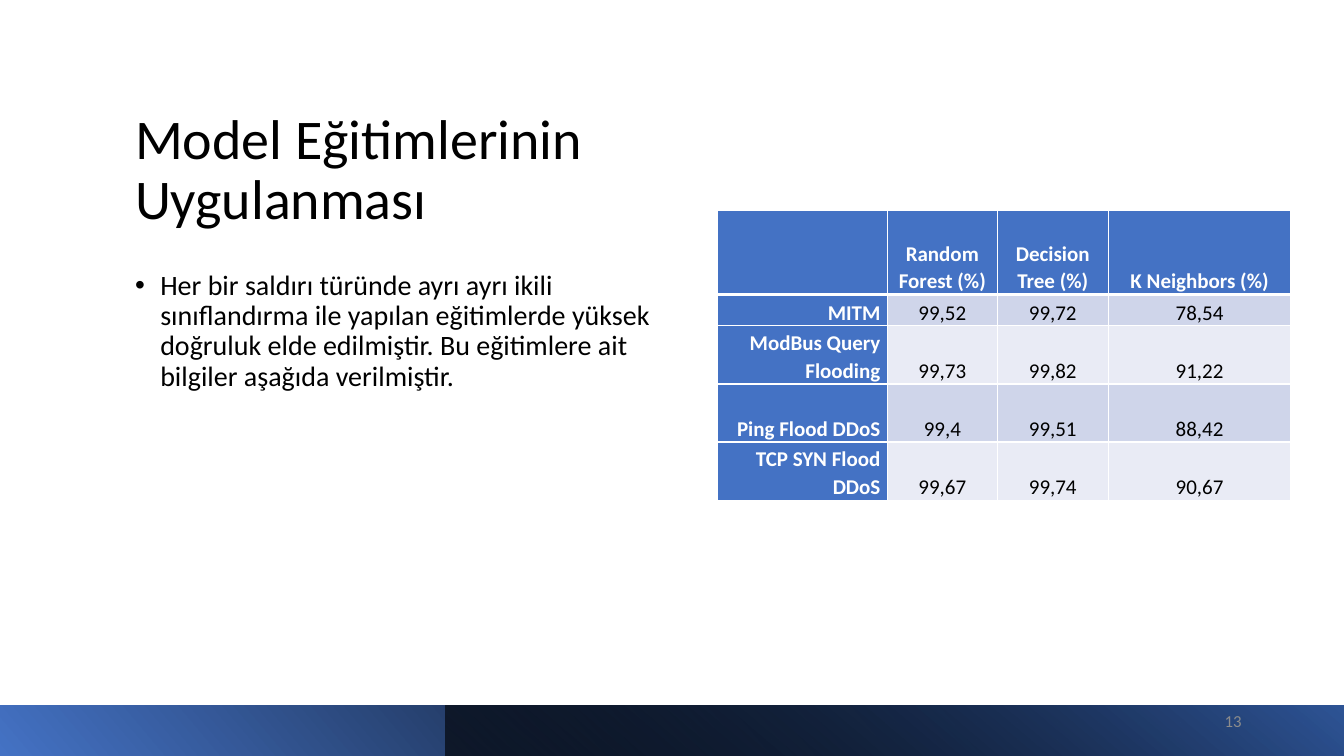
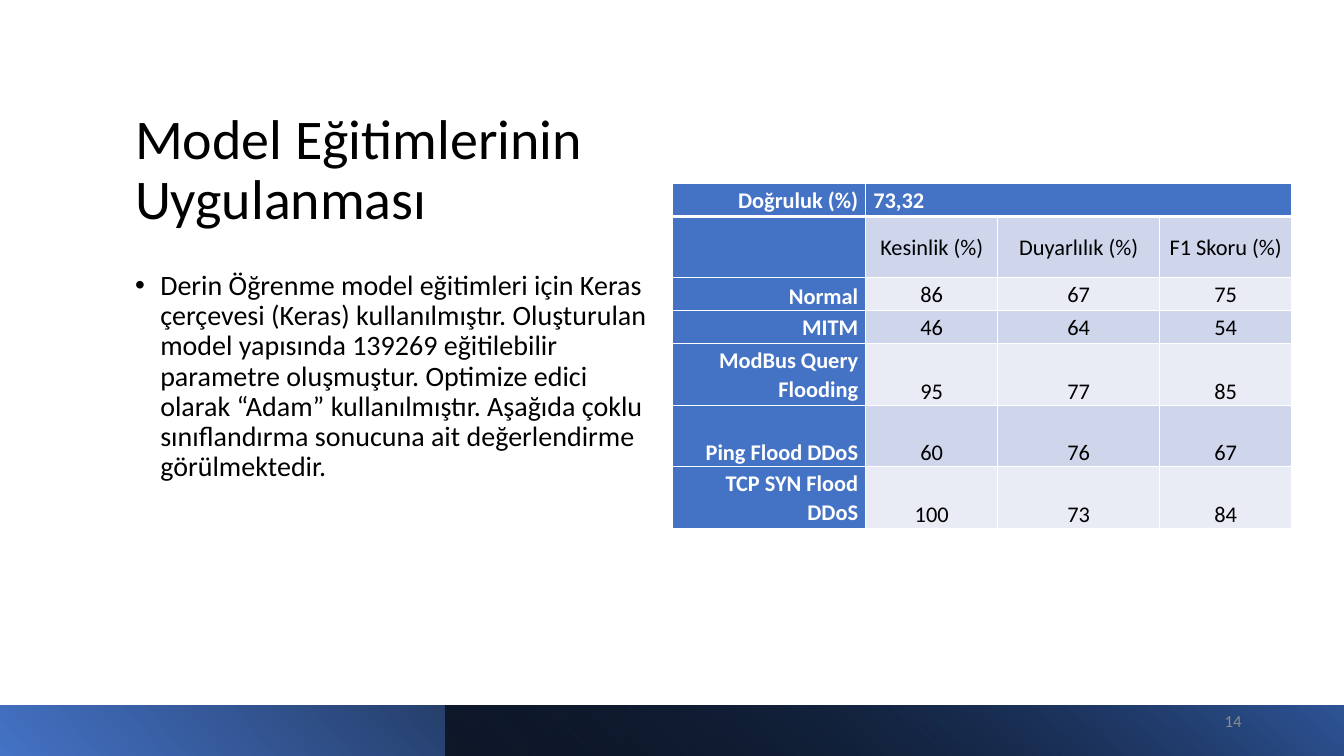
from dataclasses import dataclass

from pptx import Presentation
from pptx.dml.color import RGBColor
from pptx.enum.shapes import MSO_SHAPE
from pptx.enum.text import MSO_ANCHOR, MSO_AUTO_SIZE, PP_ALIGN
from pptx.oxml.ns import qn
from pptx.util import Pt
from lxml import etree

LEFT, CENTER, RIGHT = PP_ALIGN.LEFT, PP_ALIGN.CENTER, PP_ALIGN.RIGHT
TOP, MIDDLE, BOTTOM = MSO_ANCHOR.TOP, MSO_ANCHOR.MIDDLE, MSO_ANCHOR.BOTTOM
RECTANGLE = MSO_SHAPE.RECTANGLE
NO_AUTOFIT = MSO_AUTO_SIZE.NONE
TITLE_AND_CONTENT = 1


@dataclass(frozen=True)
class Theme:
    font: str = "Calibri"
    text: str = "000000"
    light: str = "FFFFFF"
    accent: str = "4472C4"
    accent_dark: str = "2F5597"
    odd_row: str = "CFD5EA"
    even_row: str = "E9EBF5"
    muted: str = "8C8C8C"
    title_size: int = 40
    body_size: int = 20
    number_size: int = 12


@dataclass(frozen=True)
class Row:
    height: float
    cells: tuple
    label_anchor: MSO_ANCHOR = BOTTOM
    value_anchor: MSO_ANCHOR = BOTTOM


class Deck:
    def __init__(self, theme):
        self.theme = theme
        self.presentation = Presentation()
        self.presentation.slide_width = Pt(960)
        self.presentation.slide_height = Pt(540)
        self.slide = None

    def add_slide(self, title, body, number):
        layout = self.presentation.slide_layouts[TITLE_AND_CONTENT]
        self.slide = self.presentation.slides.add_slide(layout)
        self.add_title(title)
        self.add_bullet(body)
        self.add_footer_bands()
        self.add_slide_number(number)

    def format_paragraph(self, paragraph, size, color, align=LEFT, bold=False):
        paragraph.alignment = align
        for run in paragraph.runs:
            run.font.name = self.theme.font
            run.font.size = Pt(size)
            run.font.bold = bold
            run.font.color.rgb = RGBColor.from_string(color)

    def fill_placeholder(self, placeholder, top, height, text, size, anchor):
        placeholder.left, placeholder.top = Pt(89.3), Pt(top)
        placeholder.width, placeholder.height = Pt(390.2), Pt(height)
        frame = placeholder.text_frame
        frame.text = text
        frame.auto_size = NO_AUTOFIT
        frame.vertical_anchor = anchor
        paragraph = frame.paragraphs[0]
        paragraph.line_spacing = 0.9
        self.format_paragraph(paragraph, size, self.theme.text)
        return paragraph

    def add_title(self, text):
        self.fill_placeholder(self.slide.shapes.title, 39.6, 129.6, text,
                              self.theme.title_size, BOTTOM)

    def add_bullet(self, text):
        paragraph = self.fill_placeholder(self.slide.placeholders[1], 190.1, 277.2,
                                          text, self.theme.body_size, TOP)
        paragraph.space_before = Pt(10)
        properties = paragraph._p.get_or_add_pPr()
        properties.set("marL", str(Pt(18)))
        properties.set("indent", str(-Pt(18)))
        etree.SubElement(properties, qn("a:buFont")).set("typeface", "Arial")
        etree.SubElement(properties, qn("a:buChar")).set("char", "•")

    def add_band(self, left, width, angle, stops, rotation=0):
        band = self.slide.shapes.add_shape(RECTANGLE, Pt(left), Pt(504), Pt(width), Pt(36))
        band.shadow.inherit = False
        band.line.fill.background()
        band.rotation = rotation
        band.element.spPr.find(qn("a:xfrm")).set("flipH", "1")
        band.fill.gradient()
        band.fill.gradient_angle = angle
        for stop, (position, color) in zip(band.fill.gradient_stops, stops):
            stop.position = position
            stop.color.rgb = RGBColor.from_string(color)
        return band

    def add_footer_bands(self):
        theme = self.theme
        self.add_band(0, 960, 320, [(0, theme.accent), (0.78, theme.text)], rotation=180)
        overlay = self.add_band(318, 642, 130, [(0, theme.text), (1, theme.accent_dark)])
        first_color = next(overlay.element.spPr.iter(qn("a:srgbClr")))
        etree.SubElement(first_color, qn("a:alpha")).set("val", "63000")

    def add_slide_number(self, number):
        box = self.slide.shapes.add_textbox(Pt(678), Pt(500.5), Pt(216), Pt(28.8))
        frame = box.text_frame
        frame.word_wrap = True
        frame.vertical_anchor = MIDDLE
        frame.text = str(number)
        self.format_paragraph(frame.paragraphs[0], self.theme.number_size,
                              self.theme.muted, RIGHT)

    def add_cell_borders(self, cell, bottom_width):
        properties = cell._tc.get_or_add_tcPr()
        widths = {"lnL": 1, "lnR": 1, "lnT": 1, "lnB": bottom_width}
        for index, (tag, width) in enumerate(widths.items()):
            line = etree.Element(qn(f"a:{tag}"), w=str(Pt(width)))
            fill = etree.SubElement(line, qn("a:solidFill"))
            etree.SubElement(fill, qn("a:srgbClr")).set("val", self.theme.light)
            properties.insert(index, line)

    def format_cell(self, cell, text, size, inset, color, fill, align, anchor, bold):
        cell.margin_left = cell.margin_right = Pt(inset)
        cell.margin_top = cell.margin_bottom = 0
        cell.vertical_anchor = anchor
        cell.fill.solid()
        cell.fill.fore_color.rgb = RGBColor.from_string(fill)
        cell.text_frame.text = text
        paragraph = cell.text_frame.paragraphs[0]
        paragraph.line_spacing = 1.07
        paragraph.space_after = Pt(8)
        self.format_paragraph(paragraph, size, color, align, bold)

    def add_table(self, left, top, columns, rows, size, inset, header_align=CENTER):
        theme = self.theme
        frame = self.slide.shapes.add_table(
            len(rows), len(columns), Pt(left), Pt(top),
            Pt(sum(columns)), Pt(sum(row.height for row in rows)))
        table = frame.table
        table.first_row = table.horz_banding = False
        for column, width in zip(table.columns, columns):
            column.width = Pt(width)
        for row_index, row in enumerate(rows):
            table.rows[row_index].height = Pt(row.height)
            is_header = row_index == 0
            band = theme.odd_row if row_index % 2 else theme.even_row
            for column_index, text in enumerate(row.cells):
                is_label = column_index == 0
                strong = is_header or is_label
                value_align = header_align if is_header else CENTER
                cell = table.cell(row_index, column_index)
                self.format_cell(
                    cell, text, size, inset,
                    color=theme.light if strong else theme.text,
                    fill=theme.accent if strong else band,
                    align=RIGHT if is_label else value_align,
                    anchor=row.label_anchor if is_label else row.value_anchor,
                    bold=strong)
                self.add_cell_borders(cell, 3 if is_header else 1)
        return table


def main():
    deck = Deck(Theme())
    title = "Model Eğitimlerinin Uygulanması"

    deck.add_slide(
        title,
        "Her bir saldırı türünde ayrı ayrı ikili sınıflandırma ile yapılan eğitimlerde "
        "yüksek doğruluk elde edilmiştir. Bu eğitimlere ait bilgiler aşağıda verilmiştir.",
        13)
    deck.add_table(512.8, 150, [121.1, 78.5, 79.3, 130.5], [
        Row(60.4, ("", "Random Forest (%)", "Decision Tree (%)", "K Neighbors (%)")),
        Row(22.4, ("MITM", "99,52", "99,72", "78,54")),
        Row(41.5, ("ModBus Query Flooding", "99,73", "99,82", "91,22")),
        Row(41.5, ("Ping Flood DDoS", "99,4", "99,51", "88,42")),
        Row(41.5, ("TCP SYN Flood DDoS", "99,67", "99,74", "90,67")),
    ], size=15, inset=5)

    deck.add_slide(
        title,
        "Derin Öğrenme model eğitimleri için Keras çerçevesi (Keras) kullanılmıştır. "
        "Oluşturulan model yapısında 139269 eğitilebilir parametre oluşmuştur. "
        "Optimize edici olarak “Adam” kullanılmıştır. Aşağıda çoklu sınıflandırma "
        "sonucuna ait değerlendirme görülmektedir.",
        14)
    scores = deck.add_table(480.4, 131, [138, 94.3, 115.7, 94.3], [
        Row(23.6, ("Doğruluk (%)", "73,32", "", ""), MIDDLE, MIDDLE),
        Row(43.9, ("", "Kesinlik (%)", "Duyarlılık (%)", "F1 Skoru (%)"), MIDDLE, MIDDLE),
        Row(23.6, ("Normal", "86", "67", "75"), BOTTOM, MIDDLE),
        Row(23.6, ("MITM", "46", "64", "54"), MIDDLE, MIDDLE),
        Row(43.9, ("ModBus Query Flooding", "95", "77", "85"), MIDDLE),
        Row(43.9, ("Ping Flood DDoS", "60", "76", "67")),
        Row(43.9, ("TCP SYN Flood DDoS", "100", "73", "84"), MIDDLE),
    ], size=16, inset=5.4, header_align=LEFT)
    scores.cell(0, 1).merge(scores.cell(0, 3))

    deck.presentation.save("out.pptx")


if __name__ == "__main__":
    main()
